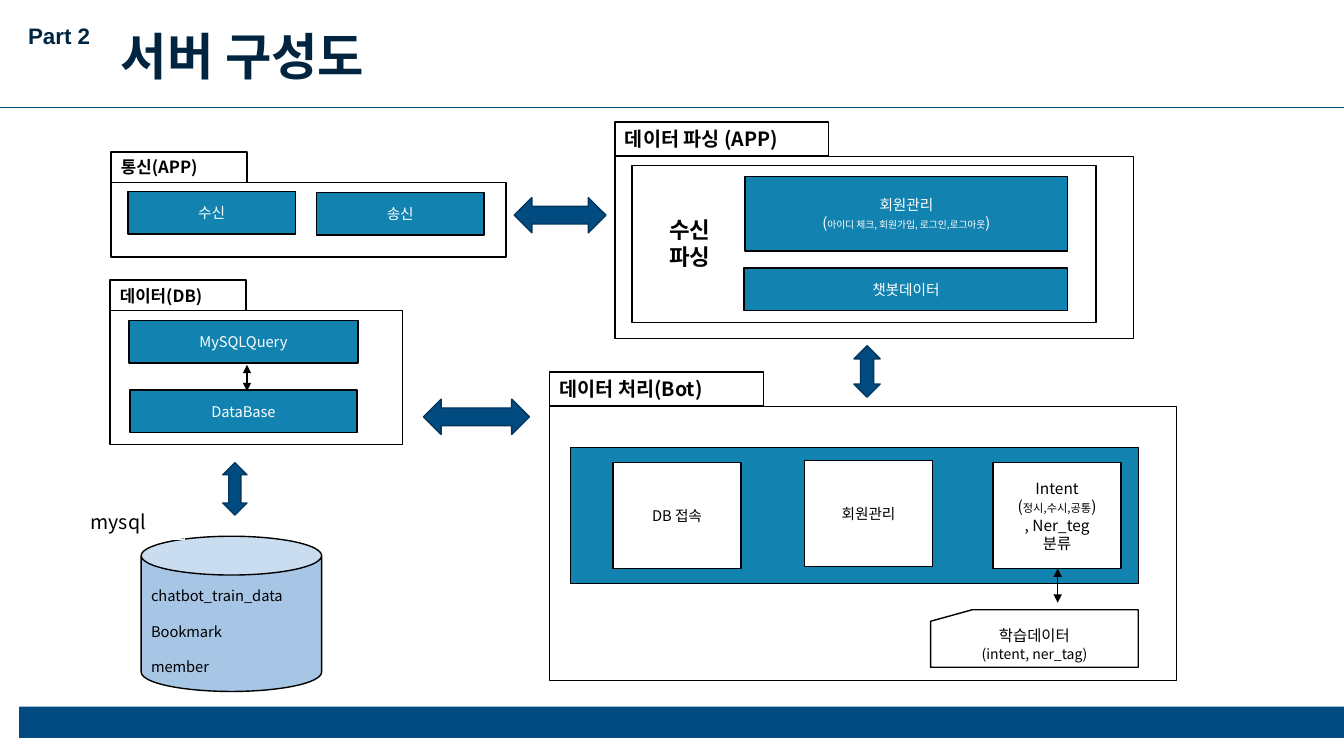
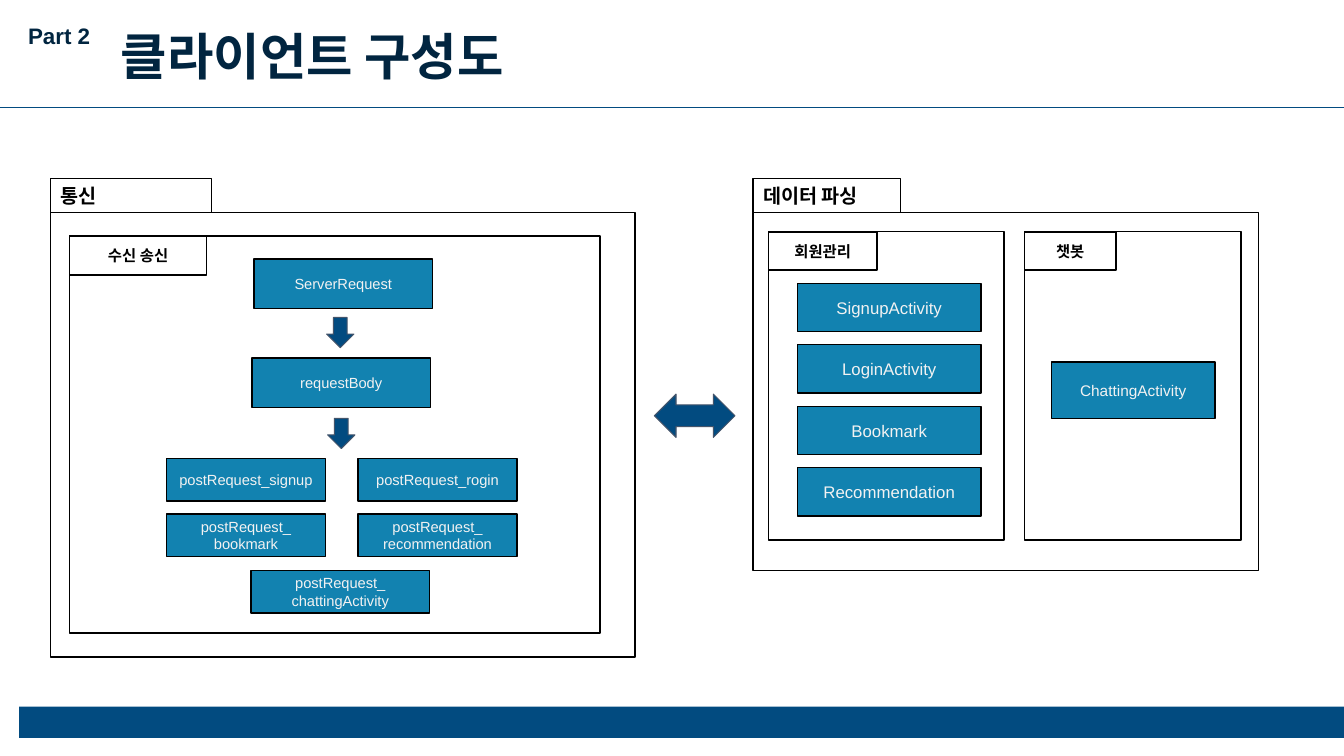
from dataclasses import dataclass
from typing import NamedTuple

from lxml import etree
from pptx import Presentation
from pptx.dml.color import RGBColor
from pptx.enum.shapes import MSO_CONNECTOR, MSO_SHAPE
from pptx.enum.text import MSO_ANCHOR, MSO_AUTO_SIZE, PP_ALIGN
from pptx.oxml.ns import qn
from pptx.util import Inches, Pt

RECT = MSO_SHAPE.RECTANGLE
CAN = MSO_SHAPE.CAN
CARD = MSO_SHAPE.FLOWCHART_CARD
ACROSS = MSO_SHAPE.LEFT_RIGHT_ARROW
UP_DOWN = MSO_SHAPE.UP_DOWN_ARROW
DOWN = MSO_SHAPE.DOWN_ARROW
LEFT, CENTER = PP_ALIGN.LEFT, PP_ALIGN.CENTER
MIDDLE = MSO_ANCHOR.MIDDLE

COLORS = {
    "navy": "024B80", "ink": "012540", "edge": "01375F", "slate": "44546A",
    "blue": "1282B0", "can": "A7C6E5", "black": "000000", "white": "FFFFFF",
    "pale": "F2F2F2",
}
KOREAN, LATIN = "Noto Sans CJK KR", "Arial"
LINE_HEIGHT = 1.2


class Span(NamedTuple):
    text: str
    size: float


class Font(NamedTuple):
    name: str
    size: float
    color: str
    bold: bool = False
    align: PP_ALIGN = CENTER
    gap: float = 0


class Look(NamedTuple):
    fill: str | None = None
    line: str | None = "black"
    weight: float = 1


Lines = list[str | list[Span]]

FRAME = Look()
BLUE = Look("blue")
WHITE = Look("white")
LABEL = Look(line="white")
ARROW = Look("navy", "edge")
SLIM_ARROW = Look("navy", "slate", 0.75)

TITLE = Font(KOREAN, 36, "ink", True, LEFT)
PART = Font(LATIN, 16, "ink", True, LEFT)
SERVER_TEXT = Font(KOREAN, 10.5, "white")
SERVER_DARK = SERVER_TEXT._replace(color="black")
SERVER_TAB = Font(KOREAN, 14, "black", True, LEFT)
CLIENT_TEXT = Font(LATIN, 10.5, "pale")
CLIENT_TAB = Font(LATIN, 14, "black", True, LEFT)
INNER_TAB = Font(LATIN, 11, "black", True)


@dataclass
class Box:
    left: float
    top: float
    width: float
    height: float
    look: Look = FRAME
    lines: Lines | None = None
    font: Font = SERVER_TEXT
    kind: MSO_SHAPE = RECT
    inset_top: float = 0.05


@dataclass
class Folder:
    """A frame with a labelled tab on top, or inside its corner."""
    left: float
    top: float
    width: float
    height: float
    label: str
    tab_width: float
    tab_height: float
    font: Font
    inside: bool = False


def rgb(name: str) -> RGBColor:
    return RGBColor.from_string(COLORS[name])


def write(frame, lines: Lines, font: Font) -> None:
    frame.word_wrap = True
    frame.auto_size = MSO_AUTO_SIZE.NONE
    frame.vertical_anchor = MIDDLE
    for index, line in enumerate(lines):
        para = frame.paragraphs[0] if index == 0 else frame.add_paragraph()
        para.alignment = font.align
        para.line_spacing = Pt(font.size * LINE_HEIGHT)
        if index:
            para.space_before = Pt(font.gap)
        para.font.name = font.name
        para.font.size = Pt(font.size)
        para.font.bold = font.bold
        para.font.color.rgb = rgb(font.color)
        # Hangul takes the East Asian typeface
        latin = para._p.pPr.find(qn("a:defRPr")).find(qn("a:latin"))
        east_asian = etree.Element(qn("a:ea"), typeface=KOREAN)
        latin.addnext(east_asian)
        spans = [Span(line, font.size)] if isinstance(line, str) else line
        for span in spans:
            run = para.add_run()
            run.text = span.text
            if span.size != font.size:
                run.font.size = Pt(span.size)


def draw_box(page, box: Box):
    shape = page.shapes.add_shape(box.kind, Inches(box.left), Inches(box.top),
                                  Inches(box.width), Inches(box.height))
    shape.shadow.inherit = False
    if box.look.fill:
        shape.fill.solid()
        shape.fill.fore_color.rgb = rgb(box.look.fill)
    else:
        shape.fill.background()
    if box.look.line:
        shape.line.color.rgb = rgb(box.look.line)
        shape.line.width = Pt(box.look.weight)
    else:
        shape.line.fill.background()
    if box.lines:
        shape.text_frame.margin_top = Inches(box.inset_top)
        write(shape.text_frame, box.lines, box.font)
    return shape


def draw_boxes(page, boxes: list[Box]) -> None:
    for box in boxes:
        draw_box(page, box)


def draw_folder(page, folder: Folder) -> None:
    draw_box(page, Box(folder.left, folder.top, folder.width, folder.height))
    tab_top = folder.top - (0 if folder.inside else folder.tab_height)
    draw_box(page, Box(folder.left, tab_top, folder.tab_width,
                       folder.tab_height, FRAME, [folder.label], folder.font))


def draw_line(page, start: tuple[float, float], end: tuple[float, float],
              color: str, weight: float, heads: bool = False):
    line = page.shapes.add_connector(
        MSO_CONNECTOR.STRAIGHT, Inches(start[0]), Inches(start[1]),
        Inches(end[0]), Inches(end[1]))
    line.line.color.rgb = rgb(color)
    line.line.width = Pt(weight)
    properties = line._element.spPr
    if heads:
        outline = properties.find(qn("a:ln"))
        for tag in ("a:headEnd", "a:tailEnd"):
            etree.SubElement(outline, qn(tag), type="triangle")
    etree.SubElement(properties, qn("a:effectLst"))
    return line


def prepare_layout(deck):
    """Give the title layout the band, the rule and the part label."""
    layout = deck.slide_layouts[5]
    for placeholder in list(layout.placeholders):
        if placeholder.placeholder_format.idx != 0:
            placeholder.element.getparent().remove(placeholder.element)
    return layout


def move_to_layout(page, layout) -> None:
    band = draw_box(page, Box(0.19, 7.01, 13.14, 0.31, Look("navy", None)))
    rule = draw_line(page, (0, 1.07), (13.33, 1.07), "navy", 0.5)
    part = page.shapes.add_textbox(Inches(0.18), Inches(0.17),
                                   Inches(0.92), Inches(0.37))
    write(part.text_frame, ["Part 2"], PART)
    for shape in (band, rule, part):
        layout.shapes.element.append(shape.element)


def add_page(deck, layout, title: str):
    page = deck.slides.add_slide(layout)
    heading = page.shapes.title
    heading.left, heading.top = Inches(1.1), Inches(0.19)
    heading.width, heading.height = Inches(4.12), Inches(0.71)
    write(heading.text_frame, [title], TITLE)
    return page


def build_server(page) -> None:
    # Framed groups
    small_tab = SERVER_TAB._replace(size=12)
    for folder in (
        Folder(1.1, 1.81, 3.92, 0.74, "통신(APP)", 1.35, 0.3, small_tab),
        Folder(1.09, 3.08, 2.9, 1.33, "데이터(DB)", 1.35, 0.3, small_tab),
        Folder(6.1, 1.55, 5.14, 1.81, "데이터 파싱 (APP)", 2.12, 0.34, SERVER_TAB),
        Folder(5.45, 4.03, 6.22, 2.72, "데이터 처리(Bot)", 2.12, 0.34, SERVER_TAB),
    ):
        draw_folder(page, folder)

    # Boxes inside the groups
    member_lines = ["회원관리", [Span("(", 10.5),
                             Span("아이디 체크, 회원가입, 로그인,로그아웃", 7),
                             Span(")", 10.5)]]
    intent_lines = ["Intent", [Span("(", 11), Span("정시,수시,공통", 8),
                               Span(")", 11)], ", Ner_teg", "분류"]
    dark_11 = SERVER_DARK._replace(size=11)
    draw_boxes(page, [
        Box(1.27, 1.9, 1.66, 0.42, BLUE, ["수신"]),
        Box(3.14, 1.91, 1.66, 0.42, BLUE, ["송신"]),
        Box(1.28, 3.18, 2.27, 0.42, BLUE, ["MySQLQuery"]),
        Box(1.29, 3.87, 2.25, 0.42, BLUE, ["DataBase"]),
        Box(6.27, 1.64, 4.6, 1.56),
        Box(6.54, 2.09, 0.74, 0.64, LABEL, ["수신", "파싱"],
            SERVER_TAB._replace(size=16)),
        Box(7.39, 1.75, 3.2, 0.74, BLUE, member_lines),
        Box(7.38, 2.66, 3.21, 0.42, BLUE, ["챗봇데이터"]),
        Box(5.66, 4.44, 5.63, 1.35, BLUE),
        Box(6.08, 4.59, 1.27, 1.05, WHITE, ["DB 접속"], SERVER_DARK),
        Box(7.98, 4.57, 1.27, 1.05, WHITE, ["회원관리"], SERVER_DARK),
        Box(9.85, 4.59, 1.27, 1.05, WHITE, intent_lines, dark_11),
        Box(9.23, 6.05, 2.06, 0.57, WHITE,
            ["학습데이터", [Span("(intent, ner_tag)", 10)]], dark_11, CARD),
    ])

    # Database
    draw_boxes(page, [
        Box(1.4, 5.32, 1.79, 1.54, Look("can"),
            ["chatbot_train_data", "Bookmark", "member"],
            SERVER_DARK._replace(align=LEFT, gap=12.5), CAN, 0.2),
        Box(0.8, 5.01, 1.03, 0.34, LABEL, ["mysql"],
            SERVER_TAB._replace(bold=False)),
    ])

    # Links
    draw_line(page, (10.49, 5.64), (10.49, 5.98), "black", 1, True)
    draw_line(page, (2.45, 3.62), (2.45, 3.88), "black", 1, True)
    draw_boxes(page, [
        Box(5.1, 1.96, 0.91, 0.35, ARROW, kind=ACROSS),
        Box(4.2, 3.96, 1.05, 0.35, ARROW, kind=ACROSS),
        Box(8.47, 3.43, 0.26, 0.51, ARROW, kind=UP_DOWN),
        Box(2.21, 4.59, 0.24, 0.52, ARROW, kind=UP_DOWN),
    ])


def build_client(page) -> None:
    # Framed groups, outer then inner
    for folder in (
        Folder(0.5, 2.11, 5.8, 4.41, "통신", 1.6, 0.34, CLIENT_TAB),
        Folder(7.47, 2.11, 5.01, 3.55, "데이터 파싱", 1.46, 0.34, CLIENT_TAB),
        Folder(0.69, 2.34, 5.26, 3.94, "수신 송신", 1.36, 0.39, INNER_TAB, True),
        Folder(7.62, 2.3, 2.34, 3.06, "회원관리", 1.08, 0.38, INNER_TAB, True),
        Folder(10.16, 2.3, 2.15, 3.06, "챗봇", 0.91, 0.38, INNER_TAB, True),
    ):
        draw_folder(page, folder)

    # Request flow
    draw_boxes(page, [
        Box(2.52, 2.57, 1.77, 0.49, BLUE, ["ServerRequest"], CLIENT_TEXT),
        Box(2.5, 3.55, 1.77, 0.49, BLUE, ["requestBody"], CLIENT_TEXT),
        Box(2.49, 5.66, 1.77, 0.42, BLUE,
            ["postRequest_", "chattingActivity"], CLIENT_TEXT),
    ])
    posts = [["postRequest_signup"], ["postRequest_rogin"],
             ["postRequest_", "bookmark"], ["postRequest_", "recommendation"]]
    for index, lines in enumerate(posts):
        row, column = divmod(index, 2)
        draw_box(page, Box(1.65 + 1.9 * column, 4.55 + 0.55 * row, 1.58, 0.42,
                           BLUE, lines, CLIENT_TEXT))

    # Activities
    names = ["SignupActivity", "LoginActivity", "Bookmark", "Recommendation"]
    for index, name in enumerate(names):
        draw_box(page, Box(7.91, 2.81 + 0.61 * index, 1.82, 0.48, BLUE,
                           [name], CLIENT_TEXT._replace(size=12)))
    draw_box(page, Box(10.43, 3.59, 1.62, 0.56, BLUE, ["ChattingActivity"],
                       CLIENT_TEXT._replace(size=11)))

    # Arrows
    draw_boxes(page, [
        Box(3.24, 3.15, 0.27, 0.3, SLIM_ARROW, kind=DOWN),
        Box(3.25, 4.15, 0.27, 0.3, SLIM_ARROW, kind=DOWN),
        Box(6.49, 3.91, 0.8, 0.43, SLIM_ARROW, kind=ACROSS),
    ])


def main() -> None:
    deck = Presentation()
    deck.slide_width, deck.slide_height = Inches(13.33), Inches(7.5)
    layout = prepare_layout(deck)
    server = add_page(deck, layout, "서버 구성도")
    move_to_layout(server, layout)
    build_server(server)
    build_client(add_page(deck, layout, "클라이언트 구성도"))
    deck.save("out.pptx")


if __name__ == "__main__":
    main()
